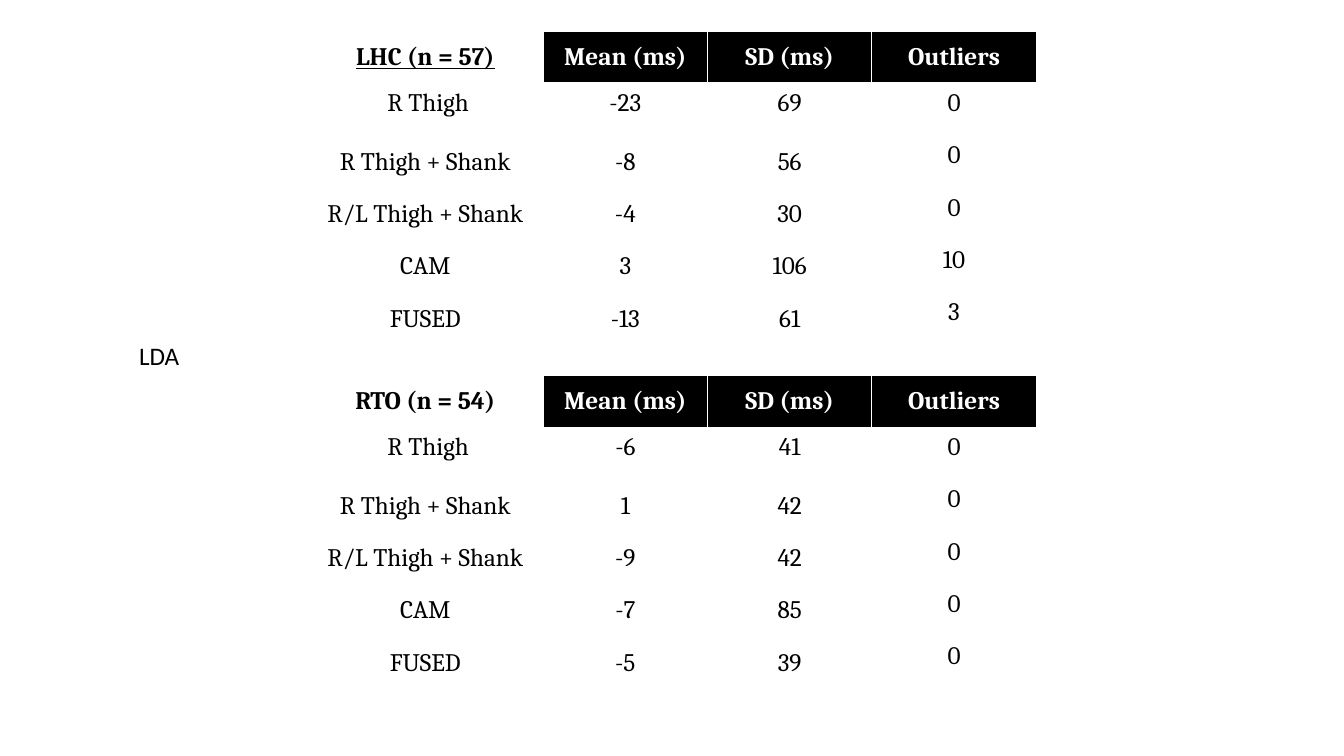
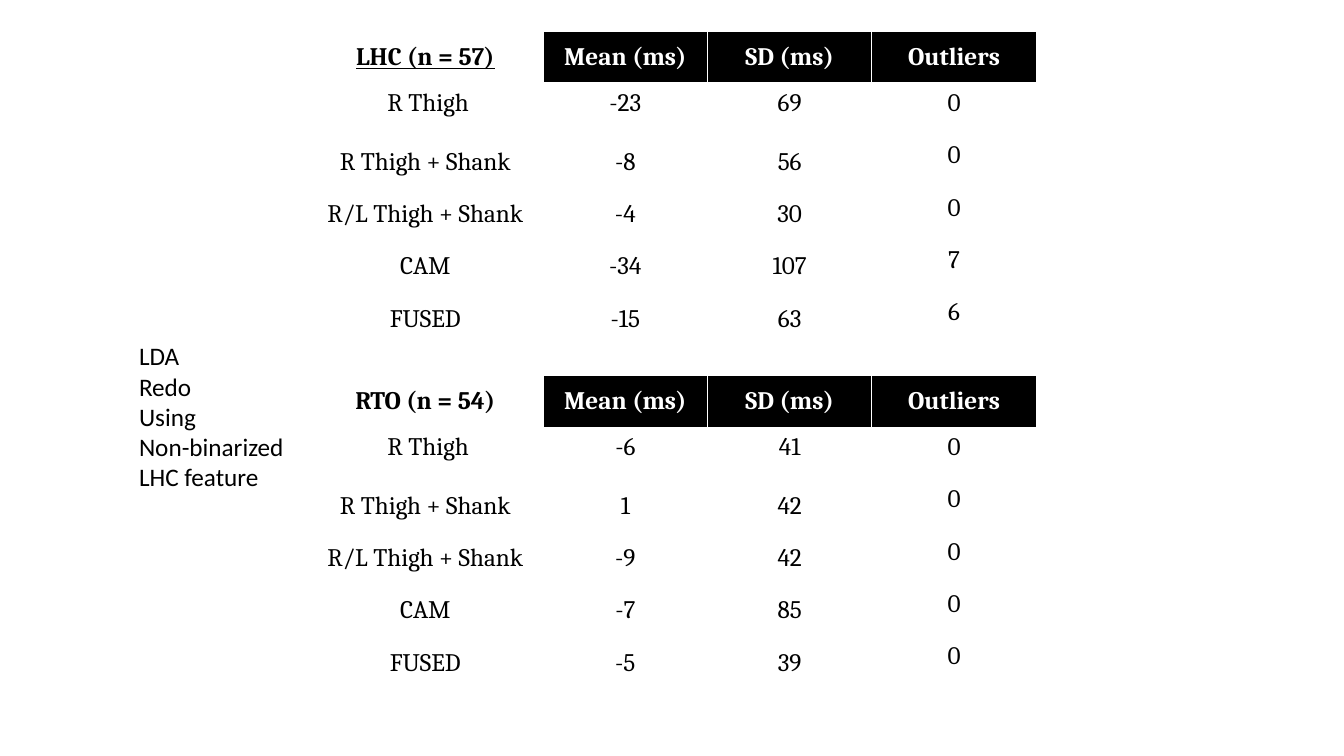
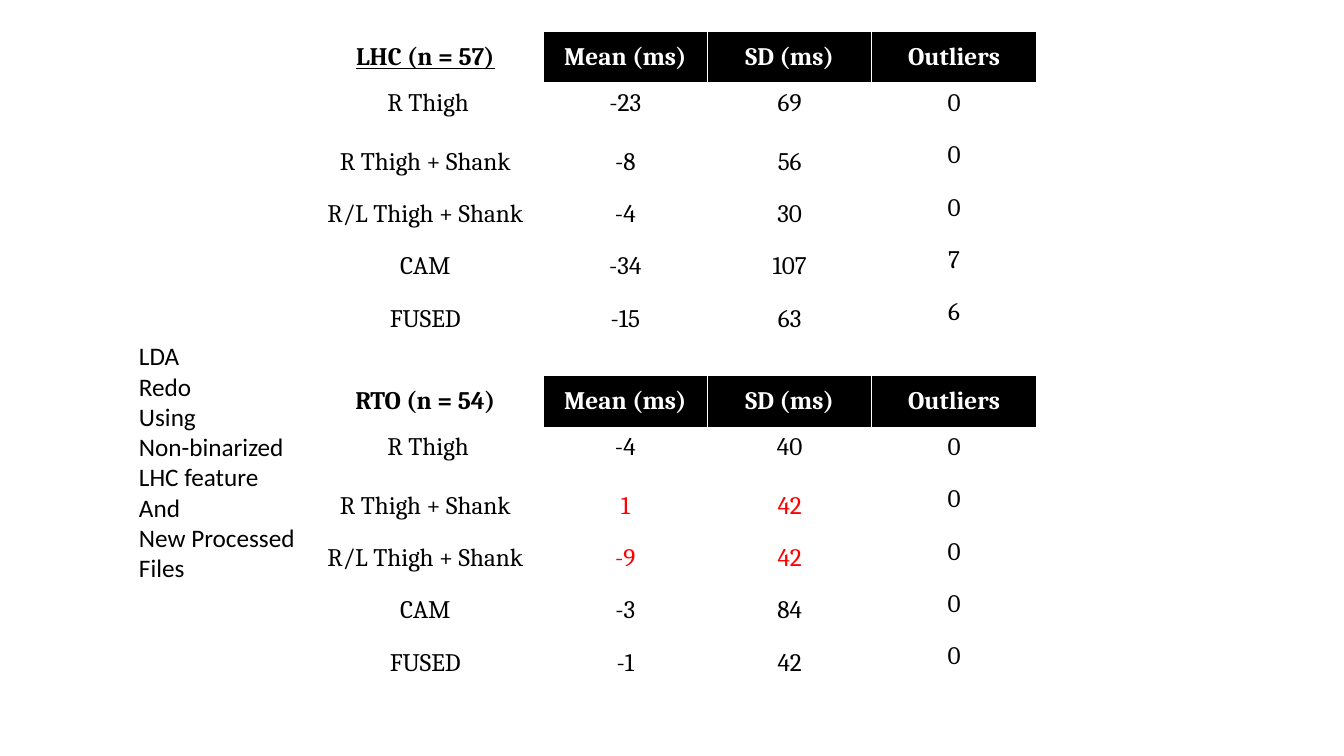
from dataclasses import dataclass

from lxml import etree
from pptx import Presentation
from pptx.dml.color import RGBColor
from pptx.enum.text import MSO_ANCHOR, MSO_AUTO_SIZE, PP_ALIGN
from pptx.oxml.ns import qn
from pptx.util import Pt

TOP, MIDDLE = MSO_ANCHOR.TOP, MSO_ANCHOR.MIDDLE
CENTER = PP_ALIGN.CENTER
GROW = MSO_AUTO_SIZE.SHAPE_TO_FIT_TEXT


@dataclass(frozen=True)
class Theme:
    dark: str = "000000"
    light: str = "FFFFFF"
    alert: str = "FF0000"
    serif: str = "Cambria"
    sans: str = "Calibri"
    size: float = 18
    gap_size: float = 10
    thin: float = 1
    thick: float = 3


@dataclass(frozen=True)
class Row:
    mean: int
    spread: int
    count: int = 0
    alert: bool = False


@dataclass(frozen=True)
class Group:
    title: str
    rows: tuple[Row, ...]
    under: bool = False


@dataclass(frozen=True)
class Page:
    note: tuple[str, ...]
    groups: tuple[Group, Group]
    width: float
    height: float


THEME = Theme()
HEADS = ("Mean (ms)", "SD (ms)", "Outliers")
NAMES = (" R Thigh", "R Thigh + Shank", "R/L Thigh + Shank", "CAM", "FUSED")
WIDTHS = (168.4, 117.4, 117.4, 117.4)
LEFT, UPPER = 219.6, 22.5
ROW_H, GAP_H = 37.35, 21.8
SPAN = len(NAMES) + 1

LHC_BASE = (Row(-23, 69), Row(-8, 56), Row(-4, 30))
LHC_OLD = Group("LHC (n = 57)", LHC_BASE + (Row(3, 106, 10), Row(-13, 61, 3)), True)
LHC_NEW = Group("LHC (n = 57)", LHC_BASE + (Row(-34, 107, 7), Row(-15, 63, 6)), True)
RTO_OLD = Group(
    "RTO (n = 54)",
    (Row(-6, 41), Row(1, 42), Row(-9, 42), Row(-7, 85), Row(-5, 39)),
)
RTO_NEW = Group(
    "RTO (n = 54)",
    (Row(-4, 40), Row(1, 42, alert=True), Row(-9, 42, alert=True),
     Row(-3, 84), Row(-1, 42)),
)

REDO = ("LDA", "Redo", "Using", "Non-binarized", "LHC feature")
PAGES = (
    Page(("LDA",), (LHC_OLD, RTO_OLD), 43.9, 29),
    Page(REDO, (LHC_NEW, RTO_OLD), 118.8, 116.6),
    Page(REDO + ("And", "New Processed", "Files"), (LHC_NEW, RTO_NEW), 126.7, 181.4),
)


def style(para, face: str, color: str, bold: bool = False, under: bool = False) -> None:
    font = para.font
    font.name, font.size = face, Pt(THEME.size)
    font.bold, font.underline = bold, under
    font.color.rgb = RGBColor.from_string(color)


def paint(cell, fill: str, top: float, bottom: float) -> None:
    props = cell._tc.get_or_add_tcPr()
    edges = {"L": THEME.thin, "R": THEME.thin, "T": top, "B": bottom}
    for side, width in edges.items():
        line = etree.SubElement(props, qn(f"a:ln{side}"), w=str(Pt(width)))
        solid = etree.SubElement(line, qn("a:solidFill"))
        etree.SubElement(solid, qn("a:srgbClr"), val=THEME.light)
    cell.fill.solid()
    cell.fill.fore_color.rgb = RGBColor.from_string(fill)


def write(cell, text: str, color: str, anchor: MSO_ANCHOR,
          bold: bool = False, under: bool = False) -> None:
    cell.vertical_anchor = anchor
    para = cell.text_frame.paragraphs[0]
    para.text, para.alignment = text, CENTER
    style(para, THEME.serif, color, bold, under)


def add_group(table, first: int, group: Group) -> None:
    for col, text in enumerate((group.title,) + HEADS):
        color = THEME.light if col else THEME.dark
        write(table.cell(first, col), text, color, MIDDLE, True, group.under and not col)
    for idx, (name, row) in enumerate(zip(NAMES, group.rows)):
        values = (name, str(row.mean), str(row.spread), str(row.count))
        for col, text in enumerate(values):
            color = THEME.alert if row.alert and col in (1, 2) else THEME.dark
            anchor = MIDDLE if idx and col < 3 else TOP
            write(table.cell(first + 1 + idx, col), text, color, anchor)


def add_grid(slide, groups: tuple[Group, Group]) -> None:
    total = 2 * SPAN + 1
    frame = slide.shapes.add_table(
        total, len(WIDTHS), Pt(LEFT), Pt(UPPER),
        Pt(sum(WIDTHS)), Pt(2 * SPAN * ROW_H + GAP_H))
    table = frame.table
    table.first_row = table.horz_banding = False
    for col, width in zip(table.columns, WIDTHS):
        col.width = Pt(width)
    for idx, row in enumerate(table.rows):
        row.height = Pt(GAP_H if idx == SPAN else ROW_H)
        top = THEME.thick if idx == 1 else THEME.thin
        bottom = THEME.thick if idx == 0 else THEME.thin
        for col, cell in enumerate(row.cells):
            head = idx in (0, SPAN + 1) and col > 0
            paint(cell, THEME.dark if head else THEME.light, top, bottom)
            if idx == SPAN:
                para = cell.text_frame.paragraphs[0]
                etree.SubElement(para._p, qn("a:endParaRPr"), sz=str(int(THEME.gap_size * 100)))
    for idx, group in enumerate(groups):
        add_group(table, idx * (SPAN + 1), group)


def add_note(slide, page: Page) -> None:
    box = slide.shapes.add_textbox(Pt(92.2), Pt(239.8), Pt(page.width), Pt(page.height))
    frame = box.text_frame
    frame.word_wrap, frame.auto_size = False, GROW
    for idx, text in enumerate(page.note):
        para = frame.add_paragraph() if idx else frame.paragraphs[0]
        para.text = text
        style(para, THEME.sans, THEME.dark)


def main() -> None:
    deck = Presentation()
    deck.slide_width, deck.slide_height = Pt(960), Pt(540)
    for page in PAGES:
        slide = deck.slides.add_slide(deck.slide_layouts[6])
        add_grid(slide, page.groups)
        add_note(slide, page)
    deck.save("out.pptx")


if __name__ == "__main__":
    main()
